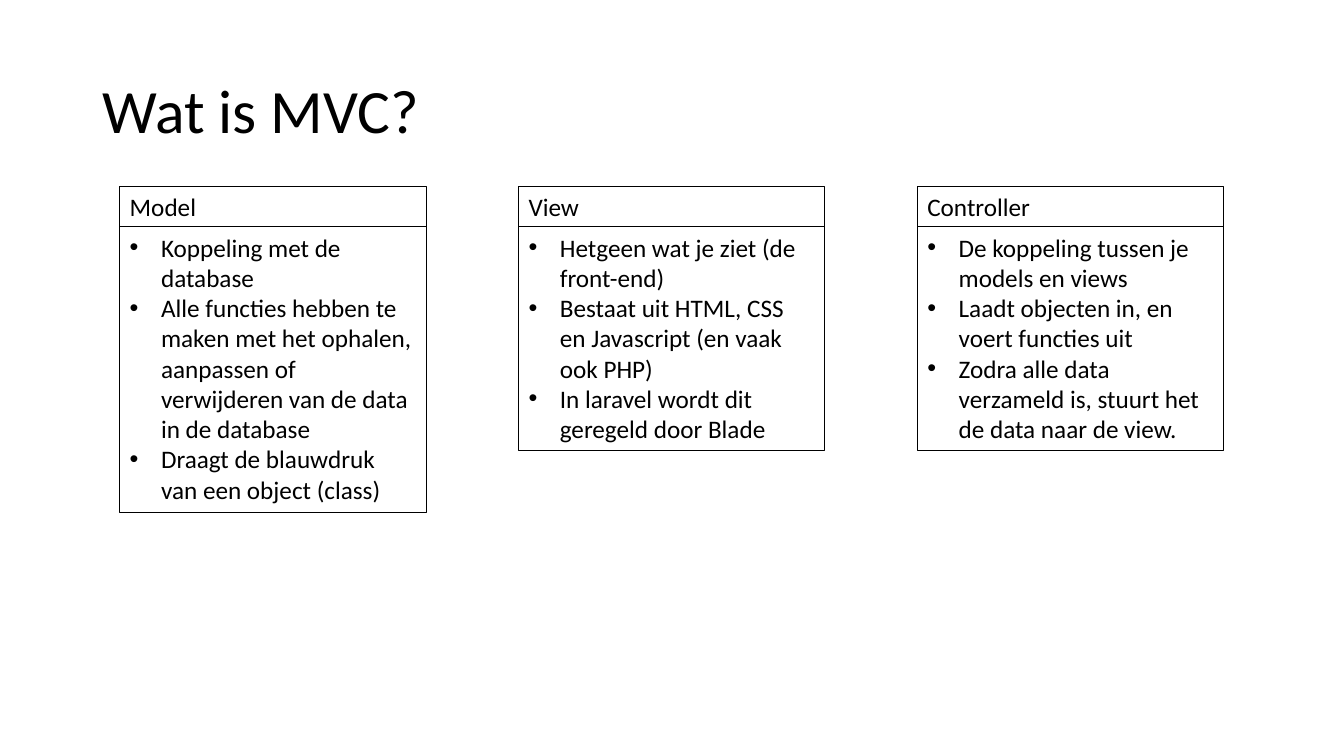
import pptx
import pptx.dml.color
import pptx.enum.text
import pptx.util
from lxml import etree
from pptx.oxml.ns import qn
from pptx.util import Cm

FONT = "Calibri"
BLACK = "000000"
COLUMN_LEFT, COLUMN_STEP, COLUMN_WIDTH = 3.02, 10.05, 7.72
HEADER_TOP, HEADER_HEIGHT = 4.7, 1.02
BULLET_INDENT = 0.79

# Heading, height of the list box, list items
COLUMNS = [
    ("Model", 7.19, [
        "Koppeling met de database",
        "Alle functies hebben te maken met het ophalen, aanpassen of "
        "verwijderen van de data in de database",
        "Draagt de blauwdruk van een object (class)",
    ]),
    ("View", 5.64, [
        "Hetgeen wat je ziet (de front-end)",
        "Bestaat uit HTML, CSS en Javascript (en vaak ook PHP)",
        "In laravel wordt dit geregeld door Blade",
    ]),
    ("Controller", 5.64, [
        "De koppeling tussen je models en views",
        "Laadt objecten in, en voert functies uit",
        "Zodra alle data verzameld is, stuurt het de data naar de view.",
    ]),
]


def color(hex_string):
    return pptx.dml.color.RGBColor.from_string(hex_string)


def add_run(paragraph, text, size):
    run = paragraph.add_run()
    run.text = text
    run.font.name = FONT
    run.font.size = pptx.util.Pt(size)
    run.font.color.rgb = color(BLACK)


def add_bullet(paragraph):
    properties = paragraph._p.get_or_add_pPr()
    properties.set("marL", str(Cm(BULLET_INDENT)))
    properties.set("indent", str(-Cm(BULLET_INDENT)))
    etree.SubElement(properties, qn("a:buFont"), typeface="Arial")
    etree.SubElement(properties, qn("a:buChar"), char="•")


def add_title(slide, text):
    title = slide.shapes.title
    title.left, title.top = Cm(2.33), Cm(1.01)
    title.width, title.height = Cm(29.21), Cm(3.68)
    title.text_frame.vertical_anchor = pptx.enum.text.MSO_ANCHOR.MIDDLE
    paragraph = title.text_frame.paragraphs[0]
    paragraph.alignment = pptx.enum.text.PP_ALIGN.LEFT
    paragraph.line_spacing = 0.9
    add_run(paragraph, text, 44)


def add_box(slide, left, top, height, texts, bulleted=False):
    box = slide.shapes.add_textbox(Cm(left), Cm(top), Cm(COLUMN_WIDTH), Cm(height))
    box.line.color.rgb = color(BLACK)
    box.line.width = pptx.util.Pt(0.75)
    frame = box.text_frame
    frame.word_wrap = True
    frame.auto_size = pptx.enum.text.MSO_AUTO_SIZE.SHAPE_TO_FIT_TEXT
    for index, text in enumerate(texts):
        paragraph = frame.add_paragraph() if index else frame.paragraphs[0]
        if bulleted:
            add_bullet(paragraph)
        add_run(paragraph, text, 18)


def main():
    presentation = pptx.Presentation()
    presentation.slide_width, presentation.slide_height = Cm(33.87), Cm(19.05)
    title_only = presentation.slide_layouts[5]
    slide = presentation.slides.add_slide(title_only)

    add_title(slide, "Wat is MVC?")

    # One heading box and one list box per column
    for index, (heading, list_height, items) in enumerate(COLUMNS):
        left = COLUMN_LEFT + index * COLUMN_STEP
        add_box(slide, left, HEADER_TOP, HEADER_HEIGHT, [heading])
        add_box(slide, left, HEADER_TOP + HEADER_HEIGHT, list_height, items, bulleted=True)

    presentation.save("out.pptx")


if __name__ == "__main__":
    main()
